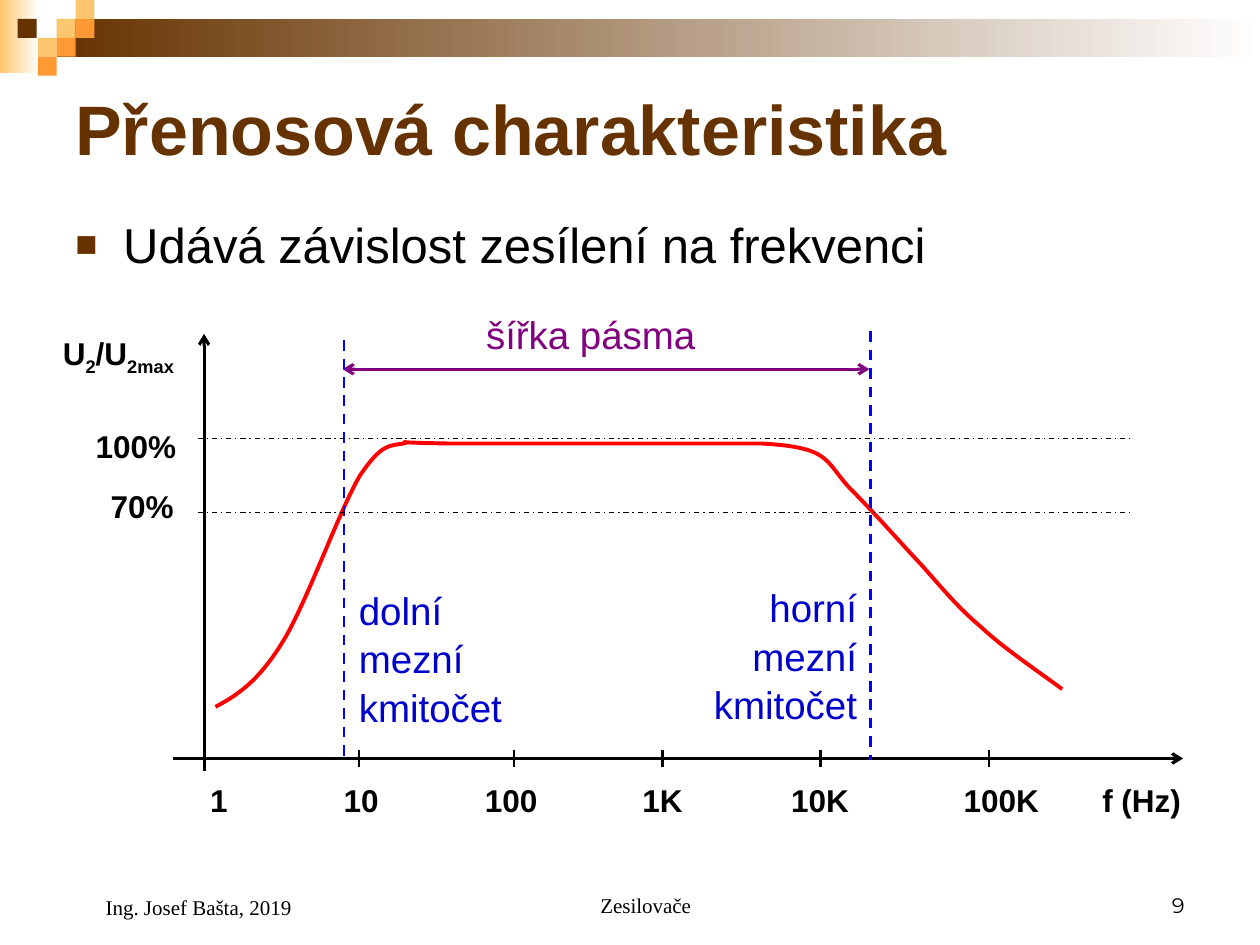
"""Build the slide on the transfer characteristic of an amplifier."""
import lxml.etree
import pptx
import pptx.dml.color
import pptx.enum.dml
import pptx.enum.shapes
import pptx.enum.text
import pptx.oxml.ns
import pptx.util

Inches, Pt, qn = pptx.util.Inches, pptx.util.Pt, pptx.oxml.ns.qn
ALIGN = pptx.enum.text.PP_ALIGN
ANCHOR = pptx.enum.text.MSO_ANCHOR
DASH = pptx.enum.dml.MSO_LINE


def rgb(value):
    """Turn a hex string into a colour."""
    return pptx.dml.color.RGBColor.from_string(value)


def text(box, runs, color, font, align=ALIGN.LEFT, anchor=ANCHOR.TOP, indent=0, spacing=1.0):
    """Add a one-paragraph text box; every second run is a subscript."""
    tf = s.shapes.add_textbox(*map(Inches, box)).text_frame
    tf.word_wrap = True
    tf.vertical_anchor = anchor
    p = tf.paragraphs[0]
    p.alignment = align
    p.line_spacing = spacing
    if indent:
        p._p.get_or_add_pPr().set("marL", str(Inches(indent)))
    for i, content in enumerate(runs):
        r = p.add_run()
        r.text = content
        r.font.color.rgb = rgb(color)
        for name, value in font.items():
            setattr(r.font, name, value)
        if i % 2:
            r._r.get_or_add_rPr().set("baseline", "-25000")
    return p


prs = pptx.Presentation()
prs.slide_width, prs.slide_height = Inches(10), Inches(7.5)
s = prs.slides.add_slide(prs.slide_layouts[6])

blocks = [
    (0, 0, 0.31, 0.58, "FCC66E", True),
    (0.45, 0.15, 9.55, 0.3, "663300", True),
    (0.45, 0.15, 0.15, 0.15, "FCC66E", False),
    (0.6, 0, 0.15, 0.15, "FCC66E", False),
    (0.6, 0.15, 0.15, 0.15, "FF9933", False),
    (0.3, 0.3, 0.15, 0.15, "FCC66E", False),
    (0.14, 0.15, 0.15, 0.15, "663300", False),
    (0.45, 0.3, 0.15, 0.15, "FF9933", False),
    (0.3, 0.45, 0.15, 0.15, "FF9933", False),
]
for x, y, w, h, color, faded in blocks:
    sp = s.shapes.add_shape(pptx.enum.shapes.MSO_SHAPE.RECTANGLE, *map(Inches, (x, y, w, h)))
    sp.shadow.inherit = False
    sp.line.fill.background()
    if faded:
        sp.fill.gradient()
        sp.fill.gradient_angle = 180
        for stop, stop_color in zip(sp.fill.gradient_stops, ("FFFFFF", color)):
            stop.color.rgb = rgb(stop_color)
    else:
        sp.fill.solid()
        sp.fill.fore_color.rgb = rgb(color)

title_font = {"name": "Arial", "size": Pt(40), "bold": True}
body_font = {"name": "Arial", "size": Pt(28)}
axis_font = {"name": "Arial", "size": Pt(18), "bold": True}
note_font = {"name": "Arial", "size": Pt(22)}
footer_font = {"name": "Times New Roman", "size": Pt(12)}
number_font = {"name": "Montserrat", "size": Pt(12)}

text((0.5, 0.5, 9, 1.03), ["Přenosová charakteristika"], "663300", title_font, anchor=ANCHOR.MIDDLE)
p = text((0.5, 1.65, 9, 0.66), ["Udává závislost zesílení na frekvenci"], "000000", body_font, indent=0.38)
pPr = p._p.get_or_add_pPr()
pPr.set("indent", str(Inches(-0.38)))
bullet_color = lxml.etree.SubElement(pPr, qn("a:buClr"))
lxml.etree.SubElement(bullet_color, qn("a:srgbClr"), val="663300")
lxml.etree.SubElement(pPr, qn("a:buSzPct"), val="75000")
lxml.etree.SubElement(pPr, qn("a:buFont"), typeface="Arial")
lxml.etree.SubElement(pPr, qn("a:buChar"), char="■")

axis_labels = [
    (1.57, 6.15, 0.42, ["1"]),
    (2.63, 6.15, 0.5, ["10"]),
    (3.75, 6.15, 0.77, ["100"]),
    (5, 6.15, 0.55, ["1K"]),
    (6.18, 6.15, 0.72, ["10K"]),
    (7.55, 6.15, 0.88, ["100K"]),
    (8.65, 6.15, 0.88, ["f (Hz)"]),
    (0.4, 2.6, 1.32, ["U", "2", "/U", "2max"]),
    (0.66, 3.34, 0.95, ["100%"]),
    (0.78, 3.82, 0.95, ["70%"]),
]
for x, y, w, runs in axis_labels:
    text((x, y, w, 0.4), runs, "000000", axis_font)

curve = [
    (1.71, 5.61),
    (1.88, 5.52), (2.05, 5.41), (2.24, 5.1),
    (2.43, 4.8), (2.7, 4.03), (2.86, 3.77),
    (3.03, 3.52), (3.09, 3.54), (3.2, 3.52),
    (3.31, 3.5), (2.99, 3.51), (3.55, 3.52),
    (3.55, 3.52), (6.04, 3.52), (6.04, 3.52),
    (6.59, 3.55), (6.54, 3.65), (6.74, 3.87),
    (6.95, 4.08), (7.14, 4.3), (7.31, 4.48),
    (7.48, 4.67), (7.6, 4.82), (7.79, 4.98),
    (7.97, 5.15), (8.3, 5.37), (8.43, 5.47),
]
builder = s.shapes.build_freeform(*map(Inches, curve[0]))
builder.add_line_segments([(Inches(x), Inches(y)) for x, y in curve[1:]], close=False)
sp = builder.convert_to_shape()
sp.shadow.inherit = False
sp.fill.background()
sp.line.color.rgb = rgb("FF0000")
sp.line.width = Pt(2.25)
segments = list(sp._element.iter(qn("a:lnTo")))
outline = segments[0].getparent()
for i in range(0, len(segments), 3):
    bezier = lxml.etree.SubElement(outline, qn("a:cubicBezTo"))
    for segment in segments[i:i + 3]:
        bezier.append(segment[0])
        outline.remove(segment)

lines = [
    (1.37, 6.02, 9.39, 6.02, "000000", 1.75, None, ["tailEnd"]),
    (1.62, 6.12, 1.62, 2.65, "000000", 1.75, None, ["tailEnd"]),
    (2.72, 2.93, 6.9, 2.93, "800080", 1.75, None, ["headEnd", "tailEnd"]),
    (2.73, 2.7, 2.73, 6.03, "0000FF", 1.5, DASH.DASH, []),
    (6.91, 2.63, 6.91, 6.03, "0000FF", 1.5, DASH.DASH, []),
]
lines += [(x, 5.95, x, 6.09, "000000", 1.5, None, []) for x in (2.85, 4.08, 5.26, 6.51, 7.85)]
lines += [(1.57, y, 8.98, y, "000000", 0.75, DASH.DASH_DOT, []) for y in (3.48, 4.07)]
for x1, y1, x2, y2, color, width, dash, arrows in lines:
    sp = s.shapes.add_connector(pptx.enum.shapes.MSO_CONNECTOR.STRAIGHT, *map(Inches, (x1, y1, x2, y2)))
    sp.line.color.rgb = rgb(color)
    sp.line.width = Pt(width)
    if dash:
        sp.line.dash_style = dash
    for end in arrows:
        lxml.etree.SubElement(sp.line._get_or_add_ln(), qn("a:" + end), type="arrow")
    lxml.etree.SubElement(sp._element.spPr, qn("a:effectLst"))

text((2.75, 4.59, 1.41, 1.2), ["dolní mezní kmitočet"], "0000CC", note_font, spacing=1.05)
text((5.52, 4.57, 1.38, 1.2), ["horní mezní kmitočet"], "0000CC", note_font, ALIGN.RIGHT, spacing=1.05)
text((3.76, 2.42, 2.6, 0.47), ["šířka pásma"], "800080", note_font)

text((0.5, 6.83, 2.33, 0.52), ["Ing. Josef Bašta, 2019"], "000000", footer_font, anchor=ANCHOR.BOTTOM, indent=0.24)
text((3.42, 6.83, 3.17, 0.5), ["Zesilovače"], "000000", footer_font, ALIGN.CENTER, ANCHOR.BOTTOM, 0.24)
text((7.17, 6.83, 2.33, 0.5), ["9"], "000000", number_font, ALIGN.RIGHT, ANCHOR.BOTTOM)

prs.save("out.pptx")
